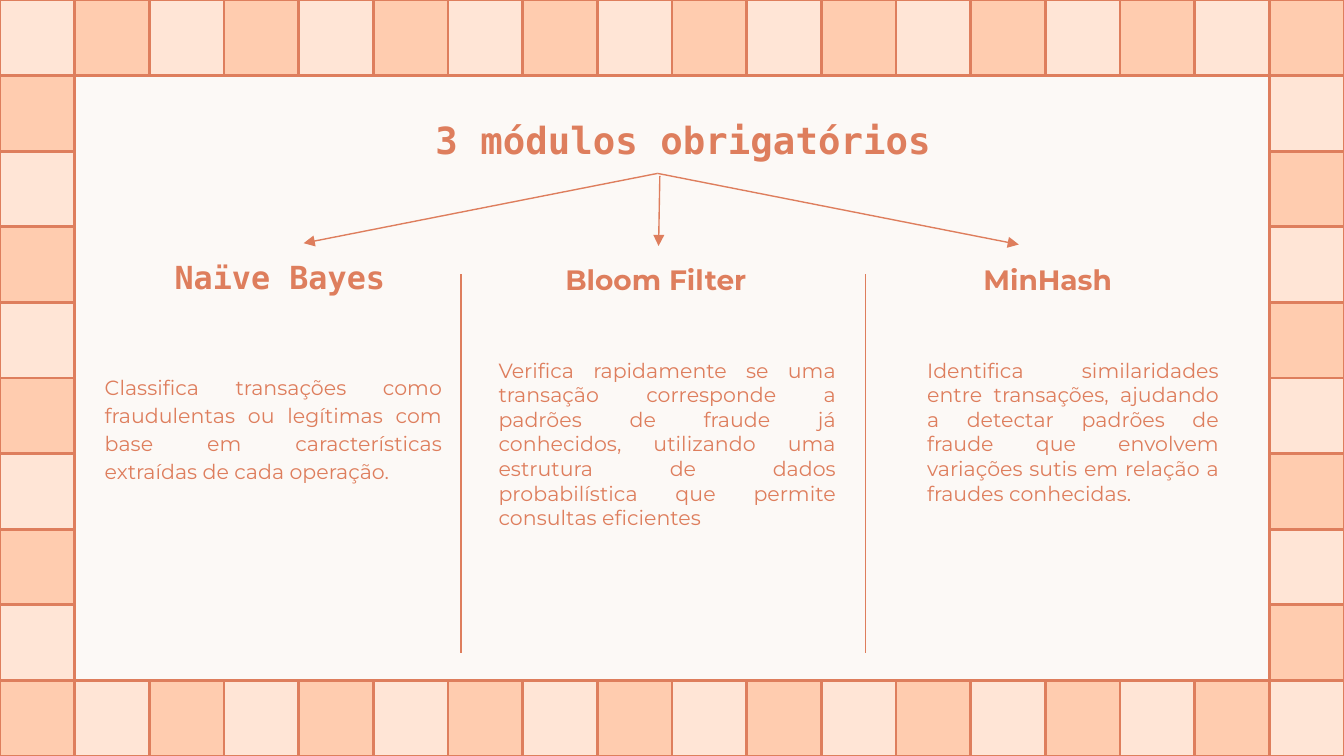
from dataclasses import dataclass
from itertools import product

from lxml.etree import SubElement
from pptx import Presentation
from pptx.dml.color import RGBColor
from pptx.enum.shapes import MSO_CONNECTOR, MSO_SHAPE
from pptx.enum.text import MSO_ANCHOR, MSO_AUTO_SIZE, PP_ALIGN
from pptx.oxml.ns import qn
from pptx.util import Pt

SLIDE_WIDTH, SLIDE_HEIGHT = 720, 405
COLUMNS, ROWS = 18, 10


@dataclass(frozen=True)
class Theme:
    background: RGBColor = RGBColor(0xFC, 0xF9, 0xF6)
    accent: RGBColor = RGBColor(0xDE, 0x7E, 0x5D)
    light_tile: RGBColor = RGBColor(0xFF, 0xE5, 0xD6)
    dark_tile: RGBColor = RGBColor(0xFF, 0xCC, 0xAF)
    mono_font: str = "DejaVu Sans Mono"
    text_font: str = "Montserrat"
    title_size: int = 20
    mono_heading_size: int = 17
    heading_size: int = 15
    body_size: int = 11
    tile_line: float = 1.5
    thin_line: float = 0.75
    inset: float = 7.2


THEME = Theme()


def place(shape, left, top, width, height):
    shape.left, shape.top = Pt(left), Pt(top)
    shape.width, shape.height = Pt(width), Pt(height)


def add_tiled_border(slide):
    """Run a checkerboard of tiles around the edge of the slide."""
    width, height = SLIDE_WIDTH / COLUMNS, SLIDE_HEIGHT / ROWS
    for row, column in product(range(ROWS), range(COLUMNS)):
        if row not in (0, ROWS - 1) and column not in (0, COLUMNS - 1):
            continue
        tile = slide.shapes.add_shape(
            MSO_SHAPE.RECTANGLE, Pt(column * width), Pt(row * height), Pt(width), Pt(height)
        )
        tile.shadow.inherit = False
        tile.fill.solid()
        is_light = (row + column) % 2 == 0
        tile.fill.fore_color.rgb = THEME.light_tile if is_light else THEME.dark_tile
        tile.line.color.rgb = THEME.accent
        tile.line.width = Pt(THEME.tile_line)


def write_text(shape, text, font_name, size, bold=False, line_spacing=1.0,
               alignment=PP_ALIGN.LEFT, space_after=0):
    frame = shape.text_frame
    frame.word_wrap = True
    frame.auto_size = MSO_AUTO_SIZE.NONE
    frame.margin_left = frame.margin_right = Pt(THEME.inset)
    frame.margin_top = frame.margin_bottom = Pt(THEME.inset)
    paragraph = frame.paragraphs[0]
    paragraph.alignment = alignment
    paragraph.line_spacing = line_spacing
    paragraph.space_before = Pt(0)
    paragraph.space_after = Pt(space_after)
    run = paragraph.add_run()
    run.text = text
    run.font.name = font_name
    run.font.size = Pt(size)
    run.font.bold = bold
    run.font.color.rgb = THEME.accent


def set_title(slide, text):
    title = slide.shapes.title
    place(title, 226, 49, 350, 69)
    write_text(title, text, THEME.mono_font, THEME.title_size, bold=True, line_spacing=0.9)
    title.text_frame.vertical_anchor = MSO_ANCHOR.MIDDLE
    title.text_frame.margin_bottom = Pt(3 * THEME.inset)


def add_heading(slide, text, box, font_name, size, line_spacing=1.0):
    heading = slide.shapes.add_textbox(0, 0, 0, 0)
    place(heading, *box)
    write_text(heading, text, font_name, size, bold=True, line_spacing=line_spacing)


def add_description(slide, text, box, line_spacing=1.0):
    description = slide.shapes.add_textbox(0, 0, 0, 0)
    place(description, *box)
    write_text(description, text, THEME.text_font, THEME.body_size,
               line_spacing=line_spacing, alignment=PP_ALIGN.JUSTIFY, space_after=12)


def add_line(slide, start, end, arrow=False):
    connector = slide.shapes.add_connector(
        MSO_CONNECTOR.STRAIGHT, *(Pt(value) for value in (*start, *end))
    )
    connector.line.color.rgb = THEME.accent
    connector.line.width = Pt(THEME.thin_line)
    if arrow:
        line = connector.line._get_or_add_ln()
        SubElement(line, qn("a:tailEnd"), type="triangle", w="med", len="med")
    SubElement(connector._element.spPr, qn("a:effectLst"))


def main():
    presentation = Presentation()
    presentation.slide_width, presentation.slide_height = Pt(SLIDE_WIDTH), Pt(SLIDE_HEIGHT)
    slide = presentation.slides.add_slide(presentation.slide_layouts.get_by_name("Title Only"))
    slide.background.fill.solid()
    slide.background.fill.fore_color.rgb = THEME.background

    add_tiled_border(slide)
    set_title(slide, "3 módulos obrigatórios")

    fork = (352.3, 92.9)
    add_line(slide, fork, (545.8, 131), arrow=True)
    add_line(slide, fork, (162.7, 130.3), arrow=True)
    add_line(slide, (353.5, 94.3), (352.8, 131.8), arrow=True)
    for divider in (247, 463.7):
        add_line(slide, (divider, 147), (divider, 350))

    heading_top = 133.2
    add_heading(slide, "Naïve Bayes", (86.4, heading_top, 176.4, 48.2),
                THEME.mono_font, THEME.mono_heading_size, line_spacing=0.9)
    add_heading(slide, "Bloom Filter", (295.8, heading_top, 236.2, 32.4),
                THEME.text_font, THEME.heading_size)
    add_heading(slide, "MinHash", (519.8, heading_top, 200, 21.6),
                THEME.text_font, THEME.heading_size)

    add_description(
        slide,
        "Classifica transações como fraudulentas ou legítimas com base em "
        "características extraídas de cada operação.",
        (49, 191.5, 195, 74.2), line_spacing=1.15)
    add_description(
        slide,
        "Verifica rapidamente se uma transação corresponde a padrões de fraude já "
        "conhecidos, utilizando uma estrutura de dados probabilística que permite "
        "consultas eficientes",
        (260, 184.3, 195, 94.3))
    add_description(
        slide,
        "Identifica similaridades entre transações, ajudando a detectar padrões de "
        "fraude que envolvem variações sutis em relação a fraudes conhecidas.",
        (489.6, 184.3, 170.6, 94.3))

    presentation.save("out.pptx")


if __name__ == "__main__":
    main()
